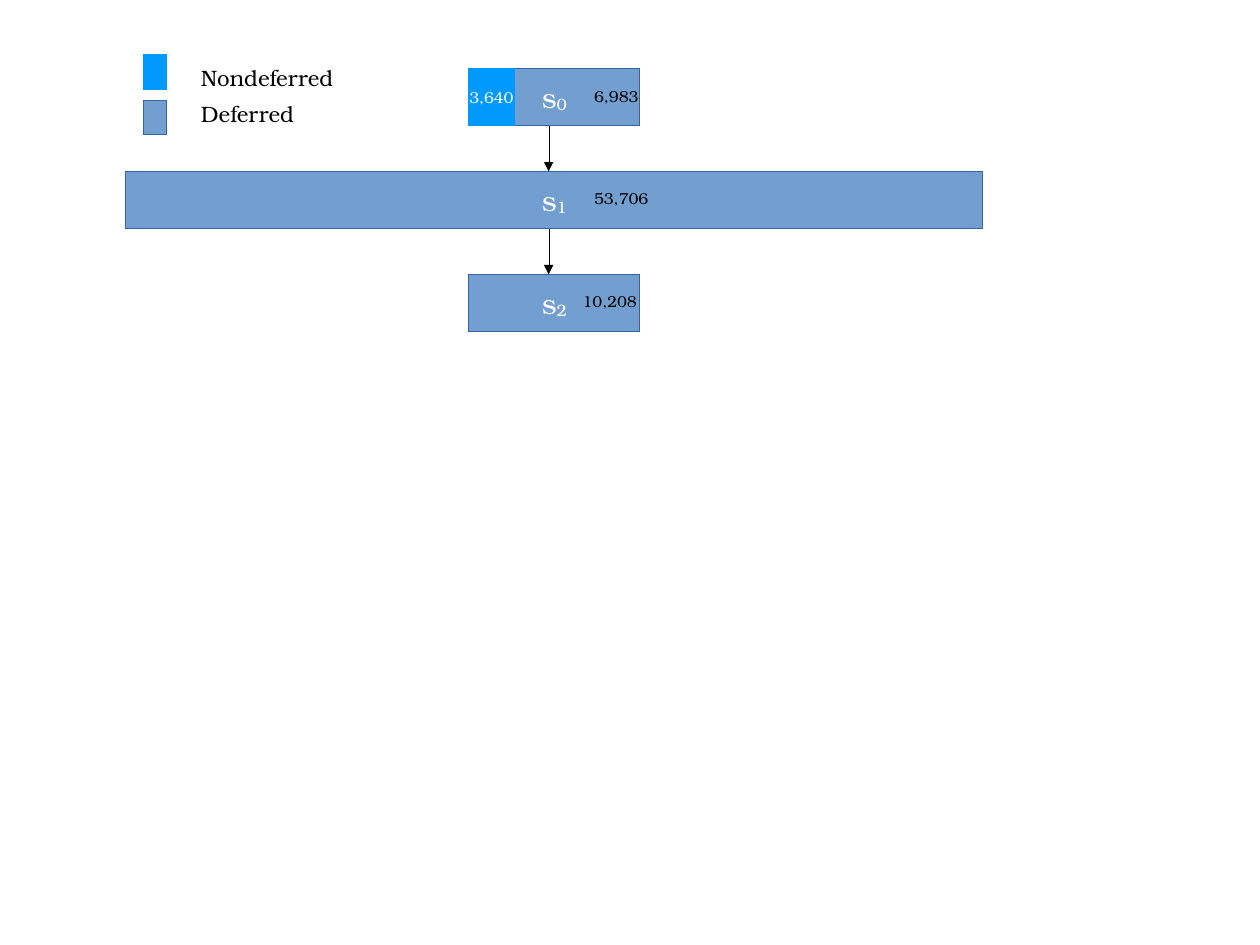
from pptx import Presentation
from pptx import util as u
from pptx.dml.color import RGBColor
from pptx.enum import shapes, text
from pptx.oxml import ns
from lxml import etree

PX = 9144
FACE = "TeX Gyre Bonum"
WHITE, BLACK = "FFFFFF", "000000"
NOW = {"fill": "0099FF", "edge": "0099FF"}
LATE = {"fill": "729FCF", "edge": "3465A4"}
TOP, STEP, HIGH = 60, 90, 50
MID = 485
STAGES = [("0", 150), ("1", 750), ("2", 150)]
COUNTS = [("6,983", 510, 71, 60), ("53,706", 510, 160, 90), ("10,208", 500, 250, 90)]


def px(*vals):
    return [u.Emu(v * PX) for v in vals]


def hue(code):
    return RGBColor.from_string(code)


def put(obj, form):
    for key, val in form.items():
        setattr(obj, key, val)


def write(para, words, size, code):
    run = para.add_run()
    run.text = words
    put(run.font, {"name": FACE, "size": u.Pt(size)})
    run.font.color.rgb = hue(code)
    return run


def thin(line, code):
    line.color.rgb = hue(code)
    edge = line._get_or_add_ln()
    edge.set("w", "0")
    return edge


def add_bar(slide, x, y, w, h, look):
    bar = slide.shapes.add_shape(shapes.MSO_SHAPE.RECTANGLE, *px(x, y, w, h))
    bar.shadow.inherit = False
    bar.fill.solid()
    bar.fill.fore_color.rgb = hue(look["fill"])
    thin(bar.line, look["edge"])
    put(bar.text_frame, {"word_wrap": False, "vertical_anchor": text.MSO_ANCHOR.MIDDLE})
    para = bar.text_frame.paragraphs[0]
    para.alignment = text.PP_ALIGN.CENTER
    return para


def add_stage(slide, num, y, w):
    para = add_bar(slide, MID - w // 2, y, w, HIGH, LATE)
    write(para, "s", 18, WHITE)
    sub = write(para, num, 18, WHITE)
    sub._r.get_or_add_rPr().set("baseline", "-8000")


def add_arrow(slide, x, top, end):
    link = slide.shapes.add_connector(shapes.MSO_CONNECTOR.STRAIGHT, *px(x, top, x, end))
    edge = thin(link.line, BLACK)
    etree.SubElement(edge, ns.qn("a:tailEnd"), type="triangle", w="med", len="med")
    etree.SubElement(link._element.spPr, ns.qn("a:effectLst"))


def add_label(slide, words, x, y, w, h, size):
    frame = slide.shapes.add_textbox(*px(x, y, w, h)).text_frame
    put(frame, {"word_wrap": True, "auto_size": text.MSO_AUTO_SIZE.SHAPE_TO_FIT_TEXT})
    write(frame.paragraphs[0], words, size, BLACK)


def main():
    deck = Presentation()
    deck.slide_width = u.Cm(28)
    deck.slide_height = u.Cm(21)
    slide = deck.slides.add_slide(deck.slide_layouts[6])

    for i, (num, w) in enumerate(STAGES):
        add_stage(slide, num, TOP + i * STEP, w)
    write(add_bar(slide, 410, TOP, 40, HIGH, NOW), "3,640", 10, WHITE)
    for i in range(len(STAGES) - 1):
        y = TOP + i * STEP
        add_arrow(slide, 480, y + HIGH, y + STEP)

    for i, (words, look) in enumerate([("Nondeferred", NOW), ("Deferred", LATE)]):
        add_bar(slide, 126, 48 + i * 40, 20, 30, look)
        add_label(slide, words, 166, 51 + i * 32, 140, 36, 14)
    for words, x, y, w in COUNTS:
        add_label(slide, words, x, y, w, 29, 10)

    deck.save("out.pptx")


if __name__ == "__main__":
    main()
